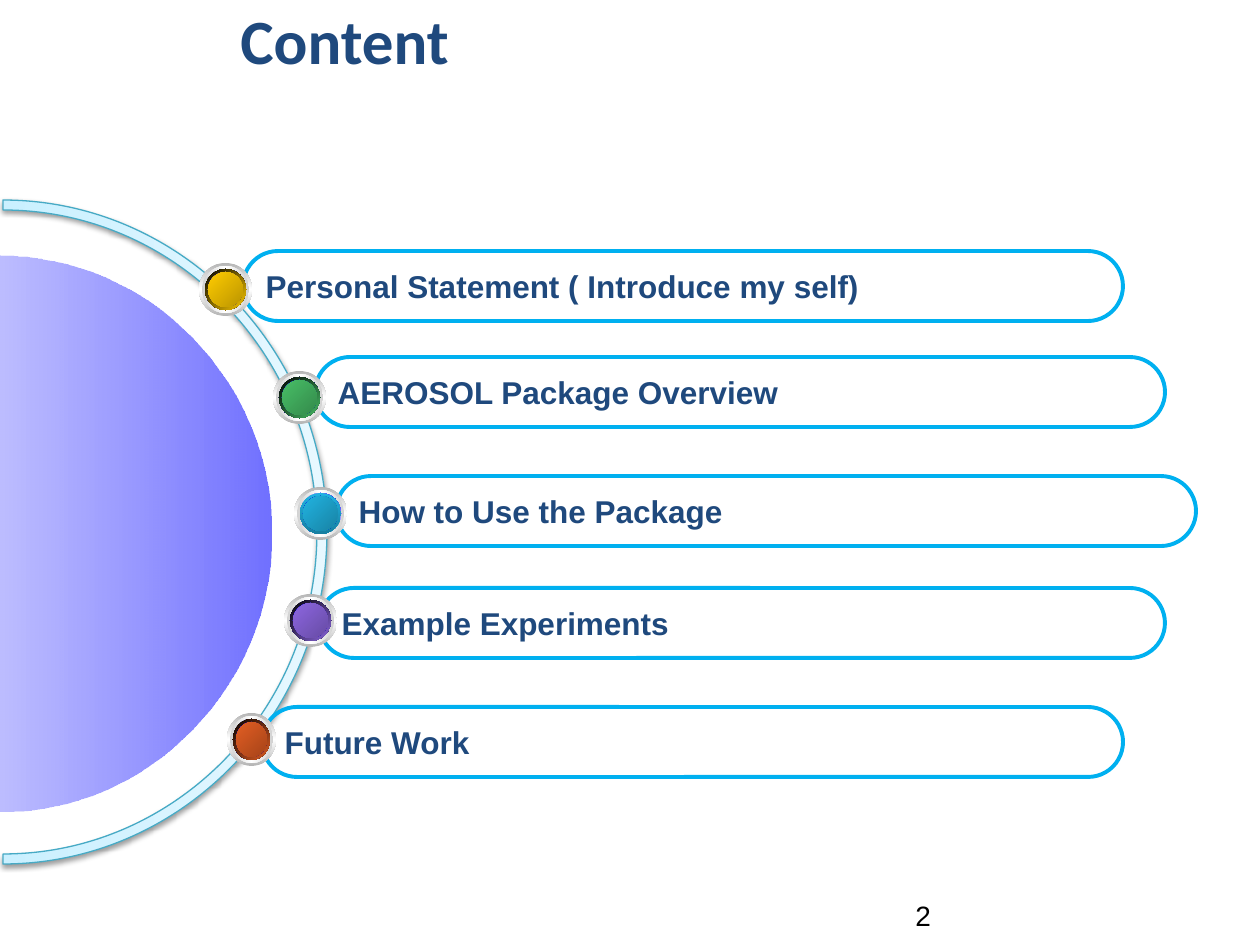
import pptx
import pptx.dml.color
import pptx.enum.shapes
import pptx.enum.text
import pptx.oxml.ns
import pptx.util
from lxml import etree

SCALE = 914400 / 126  # EMU per px
SHAPE = pptx.enum.shapes.MSO_SHAPE
ANCHOR = pptx.enum.text.MSO_ANCHOR
qn = pptx.oxml.ns.qn

COLORS = {"ink": "1F497D", "outline": "00B0F0", "ring line": "46AAC5", "black": "000000",
          "white": "FFFFFF", "blue": "0000FF", "periwinkle": "8080FF",
          "ring start": "CAF0FF", "ring end": "E7F8FF", "gold": "FFCC00",
          "green": "48BE67", "cyan": "21B3E1", "purple": "8D67E1", "orange": "E35E23"}

TITLE = ("Content", (228, -5, 1040, 98), 36, "Calibri", "ink", True)
PAGE_NUMBER = ("2", (903, 892, 294, 50), 16, "Arial", "black", False)

# A gradient stop is a colour name, or (name, modifier, percent)
# text, pill (left, top, width), orb (left, top, width), orb colour
TOPICS = [
    ("Personal Statement ( Introduce my self)", (243, 251, 880), (199, 263, 53), "gold"),
    ("AEROSOL Package Overview", (315, 357, 850), (273, 371, 53), "green"),
    ("How to Use the Package", (336, 476, 860), (294, 487, 53), "cyan"),
    ("Example Experiments", (319, 588, 846), (284, 594, 53), "purple"),
    ("Future Work", (262, 707, 861), (227, 713, 49), "orange"),
]
EDGES = {"cyan": (("cyan", ("cyan", "shade", 46)), 90)}  # the others fade from black
PILL_HEIGHT = 70
ORB_HEIGHT = 53
CURVE = 0.55  # control length of a quarter ellipse


def px(*lengths):
    return [round(length * SCALE) for length in lengths]


def rgb(name):
    return pptx.dml.color.RGBColor.from_string(COLORS[name])


def add_color(parent, name, modifier=None, percent=100):
    node = etree.SubElement(parent, qn("a:srgbClr"), val=COLORS[name])
    if modifier:
        etree.SubElement(node, qn(f"a:{modifier}"), val=str(percent * 1000))


def fill_gradient(shape, colors, clockwise_angle):
    """Spread the colours evenly along the gradient."""
    shape.fill.gradient()
    shape.fill.gradient_angle = (360 - clockwise_angle) % 360
    stops = shape._element.spPr.find(qn("a:gradFill")).find(qn("a:gsLst"))
    for stop in list(stops):
        stops.remove(stop)
    for i, color in enumerate(colors):
        position = round(100000 * i / (len(colors) - 1))
        stop = etree.SubElement(stops, qn("a:gs"), pos=str(position))
        add_color(stop, *([color] if isinstance(color, str) else color))


def write(shape, text, size, font, color, bold, anchor):
    frame = shape.text_frame
    frame.word_wrap = True
    frame.vertical_anchor = anchor
    line = frame.paragraphs[0]
    line.text = text
    line.alignment = pptx.enum.text.PP_ALIGN.LEFT
    line.font.size = pptx.util.Pt(size)
    line.font.name = font
    line.font.bold = bold
    line.font.color.rgb = rgb(color)


def half_ellipse(center_x, center_y, radius_x, radius_y):
    """Curve points of the right half, from top to bottom."""
    units = [(0, -1), (CURVE, -1), (1, -CURVE), (1, 0),
             (1, CURVE), (CURVE, 1), (0, 1)]
    return [(center_x + radius_x * x, center_y + radius_y * y) for x, y in units]


def add_outline(shapes, *arcs):
    """Join arcs of seven curve points by straight lines into a closed outline."""
    points = [point for arc in arcs for point in arc]
    builder = shapes.build_freeform(*points[0], scale=SCALE)
    builder.add_line_segments(points[1:], close=True)
    outline = builder.convert_to_shape()
    outline.shadow.inherit = False
    lines = list(outline._element.iter(qn("a:lnTo")))
    for first in range(0, 7 * len(arcs), 7):
        for start in (first, first + 3):
            curve = etree.Element(qn("a:cubicBezTo"))
            lines[start].addprevious(curve)
            for line in lines[start:start + 3]:
                curve.append(line[0])
                line.getparent().remove(line)
    return outline


def add_orb(shapes, left, top, width, color):
    edge, edge_angle = EDGES.get(color, (("black", color), 45))
    rim, bevel = ("white", "shade", 46), ("white", "shade", 64)
    navy = ("blue", "shade", 55)
    layers = [  # inset, colours, angle
        (0, (rim, "white", rim), 90),
        (3, (bevel, "white", bevel), 0),
        (6, ("white", "blue", "white"), 45),
        (6, edge, edge_angle),
        (9, (navy, "blue", navy), 315),
        (9, (color, (color, "shade", 49)), 45),
    ]
    orb = shapes.add_group_shape()
    for inset, colors, angle in layers:
        disc = orb.shapes.add_shape(SHAPE.OVAL, *px(
            left + inset, top + inset, width - 2 * inset, ORB_HEIGHT - 2 * inset))
        disc.shadow.inherit = False
        disc.line.fill.background()
        fill_gradient(disc, colors, angle)


deck = pptx.Presentation()
deck.slide_width, deck.slide_height = px(1260, 945)
slide = deck.slides.add_slide(deck.slide_layouts[6])
shapes = slide.shapes

# Ring with a soft shadow below it
ring = add_outline(shapes, half_ellipse(3, 532, 324, 332),
                   half_ellipse(3, 532, 314, 322)[::-1])
fill_gradient(ring, ("ring start", "ring end"), 0)
ring.line.color.rgb = rgb("ring line")
ring.line.width = pptx.util.Pt(0.75)
shadow = etree.SubElement(
    ring._element.spPr.find(qn("a:effectLst")), qn("a:outerShdw"),
    blurRad=str(pptx.util.Pt(3.1)), dist=str(pptx.util.Pt(1.6)),
    dir="5400000", rotWithShape="0")
add_color(shadow, "black", "alpha", 38)

# Half disc
half_disc = add_outline(shapes, half_ellipse(0, 534, 271, 278))
fill_gradient(half_disc, (("blue", "alpha", 56), ("periwinkle", "alpha", 52)), 180)
half_disc.line.fill.background()

# Topic pills from the bottom up, then the orbs on top of them
for text, (left, top, width), *_ in reversed(TOPICS):
    pill = shapes.add_shape(SHAPE.ROUNDED_RECTANGLE, *px(left, top, width, PILL_HEIGHT))
    pill.adjustments[0] = 0.5
    pill.shadow.inherit = False
    pill.fill.background()
    pill.line.color.rgb = rgb("outline")
    pill.line.width = pptx.util.Pt(2.25)
    write(pill, text, 18, "Arial", "ink", True, ANCHOR.MIDDLE)
for _, _, place, color in TOPICS:
    add_orb(shapes, *place, color)

# Title and page number
for text, place, *style in (TITLE, PAGE_NUMBER):
    write(shapes.add_textbox(*px(*place)), text, *style, ANCHOR.TOP)

deck.save("out.pptx")
